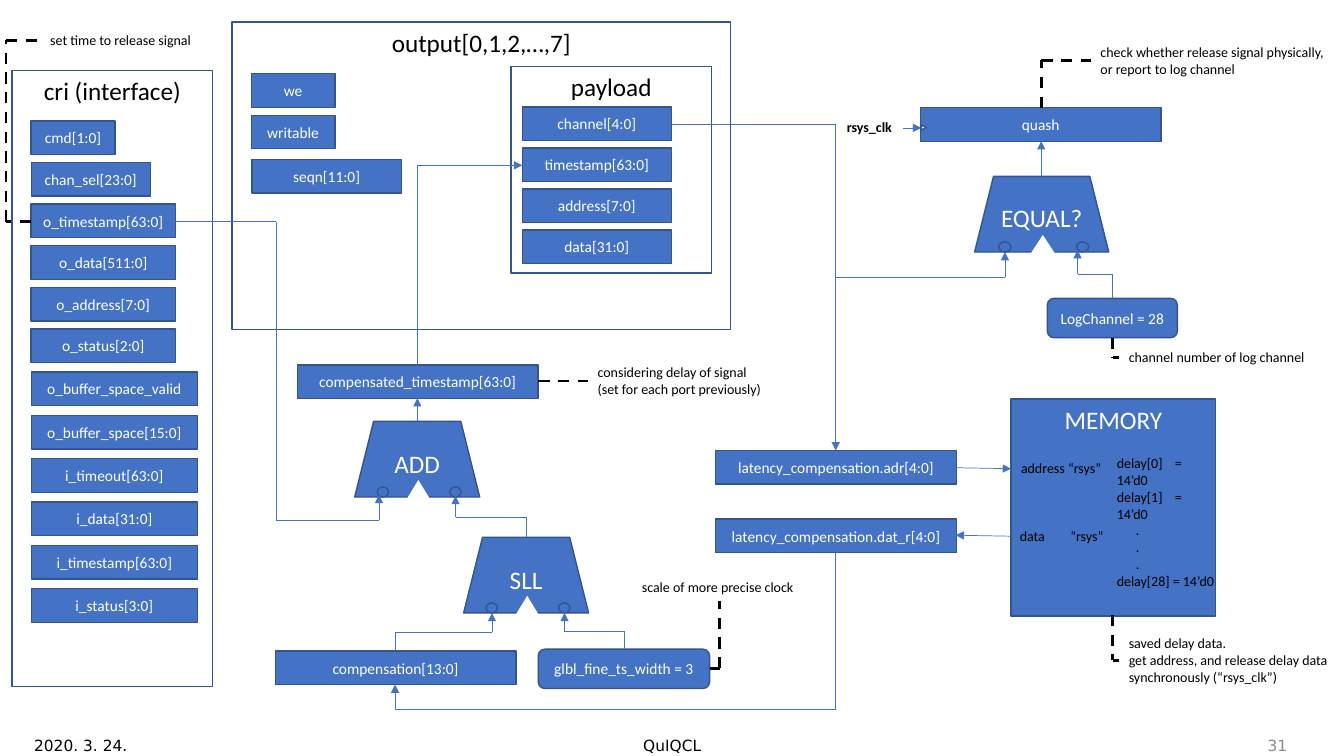
"""Build the block diagram of the cri interface and its timestamp compensation."""
from itertools import pairwise

from lxml import etree
from pptx import Presentation
from pptx.dml.color import RGBColor
from pptx.enum.dml import MSO_LINE
from pptx.enum.shapes import MSO_CONNECTOR, MSO_SHAPE
from pptx.enum.text import MSO_ANCHOR, PP_ALIGN
from pptx.oxml.ns import qn
from pptx.util import Pt

RECT, ROUND = MSO_SHAPE.RECTANGLE, MSO_SHAPE.ROUNDED_RECTANGLE
TRAPEZOID, TRIANGLE, OVAL = MSO_SHAPE.TRAPEZOID, MSO_SHAPE.ISOSCELES_TRIANGLE, MSO_SHAPE.OVAL
STRAIGHT, DASH = MSO_CONNECTOR.STRAIGHT, MSO_LINE.DASH
LEFT, CENTER, RIGHT = PP_ALIGN.LEFT, PP_ALIGN.CENTER, PP_ALIGN.RIGHT
TOP, MIDDLE = MSO_ANCHOR.TOP, MSO_ANCHOR.MIDDLE
BLUE = RGBColor(0x44, 0x72, 0xC4)
NAVY = RGBColor(0x32, 0x54, 0x91)
WHITE = RGBColor(0xFF, 0xFF, 0xFF)
BLACK = RGBColor(0x00, 0x00, 0x00)
GRAY = RGBColor(0x8C, 0x8C, 0x8C)
FIELD_H, REGISTER_W = 24, 172

prs = Presentation()
prs.slide_width, prs.slide_height = Pt(960), Pt(540)
s = prs.slides.add_slide(prs.slide_layouts[6])


def write(sp, lines, size, color, align=LEFT, anchor=TOP, wrap=True, font="Calibri", bold=False):
    tf = sp.text_frame
    tf.word_wrap = wrap
    tf.vertical_anchor = anchor
    for i, line in enumerate(lines):
        p = tf.paragraphs[0] if i == 0 else tf.add_paragraph()
        p.alignment = align
        r = p.add_run()
        r.text = line
        r.font.name, r.font.size, r.font.bold = font, Pt(size), bold
        r.font.color.rgb = color
    return tf


def block(kind, x, y, w, h, text="", size=11, fill=BLUE, line=NAVY, color=WHITE, anchor=MIDDLE):
    sp = s.shapes.add_shape(kind, Pt(x), Pt(y), Pt(w), Pt(h))
    sp.shadow.inherit = False
    if fill is None:
        sp.fill.background()
    else:
        sp.fill.solid()
        sp.fill.fore_color.rgb = fill
    if line is None:
        sp.line.fill.background()
    else:
        sp.line.color.rgb = line
        sp.line.width = Pt(1)
    if text:
        write(sp, [text], size, color, CENTER, anchor)
    return sp


for title, x, y, w, h in [
    ("cri (interface)", 8.6, 50.4, 143.3, 439.9),
    ("output[0,1,2,…,7]", 165.6, 15.8, 356.4, 219.6),
    ("payload", 365, 47.5, 143.3, 147.6),
]:
    block(RECT, x, y, w, h, title, 18, fill=None, color=BLACK, anchor=TOP)
block(RECT, 722.2, 285.1, 146.2, 154.8, "MEMORY", 18, anchor=TOP)

field_columns = [
    (22.3, 86.4, 29.7, [("cmd[1:0]", 59.8), ("chan_sel[23:0]", 85), ("o_timestamp[63:0]", 103),
                        ("o_data[511:0]", 103), ("o_address[7:0]", 103), ("o_status[2:0]", 103)]),
    (22.3, 265.7, 30.95, [(name, 118.8) for name in (
        "o_buffer_space_valid", "o_buffer_space[15:0]", "i_timeout[63:0]",
        "i_data[31:0]", "i_timestamp[63:0]", "i_status[3:0]")]),
    (179.5, 52.6, 29.7, [("we", 59.8), ("writable", 59.8)]),
    (180, 113.8, 0, [("seqn[11:0]", 106.6)]),
    (373, 76.3, 29.3, [(name, 106.6) for name in (
        "channel[4:0]", "timestamp[63:0]", "address[7:0]", "data[31:0]")]),
]
for x, y, pitch, fields in field_columns:
    for i, (name, w) in enumerate(fields):
        block(RECT, x, y + i * pitch, w, FIELD_H, name)

for name, x, y in [
    ("latency_compensation.adr[4:0]", 511.2, 321.8),
    ("latency_compensation.dat_r[4:0]", 511.2, 370.8),
    ("quash", 657.4, 77),
    ("compensated_timestamp[63:0]", 212.4, 260.6),
    ("compensation[13:0]", 196.6, 465.1),
]:
    block(RECT, x, y, REGISTER_W, FIELD_H, name)
block(ROUND, 748.1, 213.1, 92.9, 28.1, "LogChannel = 28")
block(ROUND, 384.5, 463.7, 122.4, 28.1, "glbl_fine_ts_width = 3")
clock_mark = block(TRIANGLE, 658.1, 89.3, 3.6, 3.6, fill=WHITE)
clock_mark.rotation = 90

for name, x, y, w in [("EQUAL?", 696.2, 126, 95.8), ("SLL", 331.2, 383.8, 89.3), ("ADD", 253.4, 301, 89.3)]:
    block(TRAPEZOID, x, y, w, 54, name, 18)
    block(TRIANGLE, x + 0.415 * w, y + 41.8, 0.187 * w, 13.7, fill=WHITE, line=None)
    for port in (0.18, 0.76):
        block(OVAL, x + port * w, y + 46.8, 0.09 * w, 7.2)

arrows = [
    [(480.2, 88.6), (596.9, 88.6), (596.9, 198), (717.8, 198), (717.8, 180)],
    [(596.9, 198), (596.9, 321.8)],
    [(794.9, 213.1), (794.9, 195.8), (769.7, 195.8), (769.7, 178.6)],
    [(645.1, 91.4), (658.1, 91.4)],
    [(743.8, 126), (743.8, 100.8)],
    [(682.6, 334.1), (722.2, 334.8)],
    [(721.4, 383), (682.6, 382.3)],
    [(282.2, 465.1), (282.2, 451.4), (351.4, 451.4), (351.4, 437.8)],
    [(445.7, 463.7), (445.7, 450.7), (403.2, 450.7), (403.2, 437.8)],
    [(375.8, 383.8), (375.8, 369.4), (325.4, 369.4), (325.4, 354.2)],
    [(298.1, 301), (298.1, 284.4)],
    [(125.3, 158.4), (197.3, 158.4), (197.3, 371.5), (270.7, 371.5), (270.7, 353.5)],
    [(596.9, 394.6), (596.9, 506.9), (282.2, 506.9), (282.2, 488.9)],
    [(298.1, 260.6), (298.1, 118.1), (373, 118.1)],
]
leaders = [
    [(22.3, 158.4), (4.3, 158.4), (4.3, 28.8), (28.8, 28.8)],
    [(384.5, 272.2), (419.8, 272.2)],
    [(743.8, 77), (743.8, 43.2), (779, 43.2)],
    [(794.9, 241.2), (794.9, 255.6), (799.2, 255.6)],
    [(794.9, 439.2), (794.9, 471.6), (799.2, 471.6)],
    [(506.9, 477.4), (514.1, 477.4), (514.1, 429.1)],
]
for routes, color, width, is_arrow in [(arrows, BLUE, 0.5, True), (leaders, BLACK, 2, False)]:
    for route in routes:
        for start, end in pairwise(route):
            cxn = s.shapes.add_connector(STRAIGHT, *map(Pt, start + end))
            cxn.line.color.rgb = color
            cxn.line.width = Pt(width)
            if not is_arrow:
                cxn.line.dash_style = DASH
            elif end == route[-1]:
                etree.SubElement(cxn.line._get_or_add_ln(), qn("a:tailEnd"), type="triangle")
            etree.SubElement(cxn._element.spPr, qn("a:effectLst"))

for x, y, w, h, lines in [
    (28.8, 18.7, 116.6, 19.4, ["set time to release signal"]),
    (419.8, 256.3, 133.2, 31.7, ["considering delay of signal", "(set for each port previously)"]),
    (779, 27.4, 177.1, 31.7, ["check whether release signal physically,", "or report to log channel"]),
    (799.2, 245.5, 141.8, 19.4, ["channel number of log channel"]),
    (799.2, 450, 159.1, 43.9, ["saved delay data.", "get address, and release delay data",
                               "synchronously (“rsys_clk”)"]),
    (451.4, 409.7, 124.6, 19.4, ["scale of more precise clock"]),
]:
    note = s.shapes.add_textbox(Pt(x), Pt(y), Pt(w), Pt(h))
    write(note, lines, 10, BLACK, wrap=False)

clock = s.shapes.add_textbox(Pt(596.9), Pt(81.4), Pt(48.2), Pt(19.4))
write(clock, ["rsys_clk"], 10, BLACK, CENTER, bold=True)

for x, y, w, h, lines, stops in [
    (790.6, 321.1, 90, 79.9, ["delay[0]\t=\t14’d0", "delay[1]\t=\t14’d0", ".", ".", ".",
                              "delay[28] = 14’d0"], (30.5, 41.5)),
    (722.2, 324.7, 92.9, 19.4, ["address “rsys”"], ()),
    (721.4, 373, 92.9, 19.4, ["data\t“rsys”"], (36,)),
]:
    memory_text = s.shapes.add_textbox(Pt(x), Pt(y), Pt(w), Pt(h))
    tf = write(memory_text, lines, 10, BLACK)
    for p, line in zip(tf.paragraphs, lines):
        pPr = p._p.get_or_add_pPr()
        if line == ".":
            pPr.set("marL", str(Pt(13.6)))
        if "\t" in line:
            tabs = etree.SubElement(pPr, qn("a:tabLst"))
            for stop in stops:
                etree.SubElement(tabs, qn("a:tab"), pos=str(Pt(stop)), algn="l")

for text, x, w, align, color in [
    ("2020. 3. 24.", 17.3, 216, LEFT, BLACK),
    ("QuIQCL", 318.2, 324, CENTER, BLACK),
    ("31", 710.6, 216, RIGHT, GRAY),
]:
    footer = s.shapes.add_textbox(Pt(x), Pt(517.7), Pt(w), Pt(28.8))
    write(footer, [text], 11, color, align, MIDDLE, font="DejaVu Sans")

prs.save("out.pptx")
